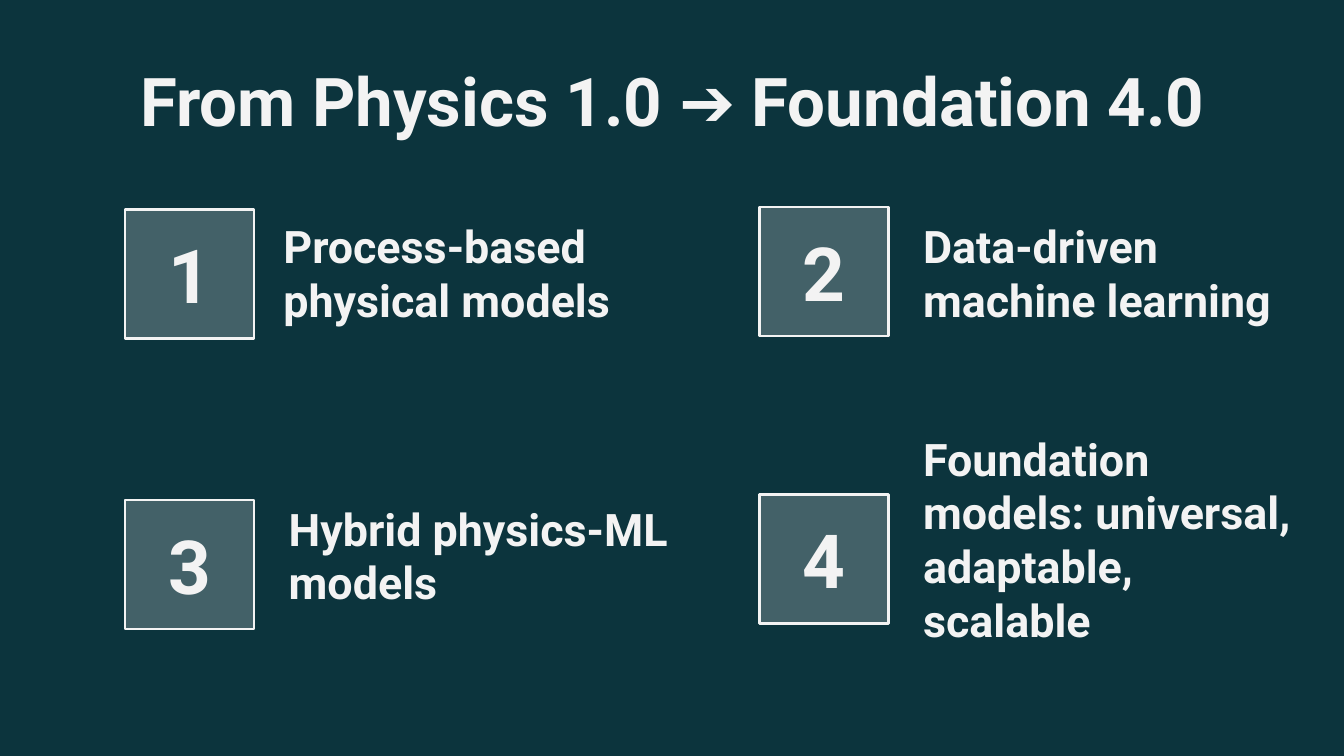
from pptx import Presentation
from pptx.dml.color import RGBColor
from pptx.enum.shapes import MSO_SHAPE
from pptx.enum.text import MSO_ANCHOR, MSO_AUTO_SIZE, PP_ALIGN
from pptx.oxml.ns import qn
from pptx.util import Inches, Pt
from lxml import etree

ROUNDED = MSO_SHAPE.ROUNDED_RECTANGLE
TOP, MIDDLE, BOTTOM = MSO_ANCHOR.TOP, MSO_ANCHOR.MIDDLE, MSO_ANCHOR.BOTTOM
LEFT, CENTER = PP_ALIGN.LEFT, PP_ALIGN.CENTER
NO_AUTOFIT = MSO_AUTO_SIZE.NONE

BACKGROUND = RGBColor(0x0C, 0x34, 0x3D)
LIGHT = RGBColor(0xF3, 0xF3, 0xF3)
FONT = "Roboto"
TILE_SIZE = 0.96
TILE_OPACITY = 24

# Number, tile corner (left, top), label box (left, top, width, height), label
STAGES = [
    ("1", (0.93, 1.56), (2.01, 1.57, 3.09, 0.96), "Process-based physical models"),
    ("2", (5.65, 1.54), (6.77, 1.52, 3.03, 1.01), "Data-driven machine learning"),
    ("3", (0.93, 3.72), (2.05, 3.75, 3.03, 0.88), "Hybrid physics-ML models"),
    ("4", (5.65, 3.68), (6.77, 3.71, 3.03, 1.20),
     "Foundation models: universal, adaptable, scalable"),
]


def write_text(shape, text, size, alignment, anchor):
    frame = shape.text_frame
    frame.text = text
    frame.word_wrap = True
    frame.auto_size = NO_AUTOFIT
    frame.vertical_anchor = anchor
    frame.margin_left = frame.margin_right = Inches(0.1)
    frame.margin_top = frame.margin_bottom = Inches(0.1)
    para = frame.paragraphs[0]
    para.alignment = alignment
    para.line_spacing = 1.0
    para.space_before = Pt(0)
    font = para.runs[0].font
    font.name, font.size, font.bold = FONT, Pt(size), True
    font.color.rgb = LIGHT


def add_title(page, box):
    title = page.shapes.title
    title.left, title.top, title.width, title.height = map(Inches, box)
    write_text(title, "From Physics 1.0 ➔ Foundation 4.0", 36, CENTER, TOP)


def add_number_tile(page, corner, number):
    left, top = corner
    box = (left, top, TILE_SIZE, TILE_SIZE)
    tile = page.shapes.add_shape(ROUNDED, *map(Inches, box))
    tile.adjustments[0] = 0
    tile.shadow.inherit = False
    tile.fill.solid()
    tile.fill.fore_color.rgb = LIGHT
    tile.line.color.rgb = LIGHT
    tile.line.width = Pt(1.5)
    # Make the fill, but not the outline, translucent
    color = tile.element.spPr.find(qn("a:solidFill")).find(qn("a:srgbClr"))
    etree.SubElement(color, qn("a:alpha"), val=str(TILE_OPACITY * 1000))
    write_text(tile, number, 40, CENTER, MIDDLE)


def add_stage(page, number, corner, label_box, label):
    add_number_tile(page, corner, number)
    text_box = page.shapes.add_textbox(*map(Inches, label_box))
    write_text(text_box, label, 24, LEFT, BOTTOM)


def main():
    deck = Presentation()
    deck.slide_width = Inches(10)
    deck.slide_height = deck.slide_width * 9 // 16
    page = deck.slides.add_slide(deck.slide_layouts[5])  # Title Only
    page.background.fill.solid()
    page.background.fill.fore_color.rgb = BACKGROUND

    add_title(page, (0.79, 0.34, 8.43, 0.88))
    for stage in STAGES:
        add_stage(page, *stage)
    deck.save("out.pptx")


if __name__ == "__main__":
    main()
